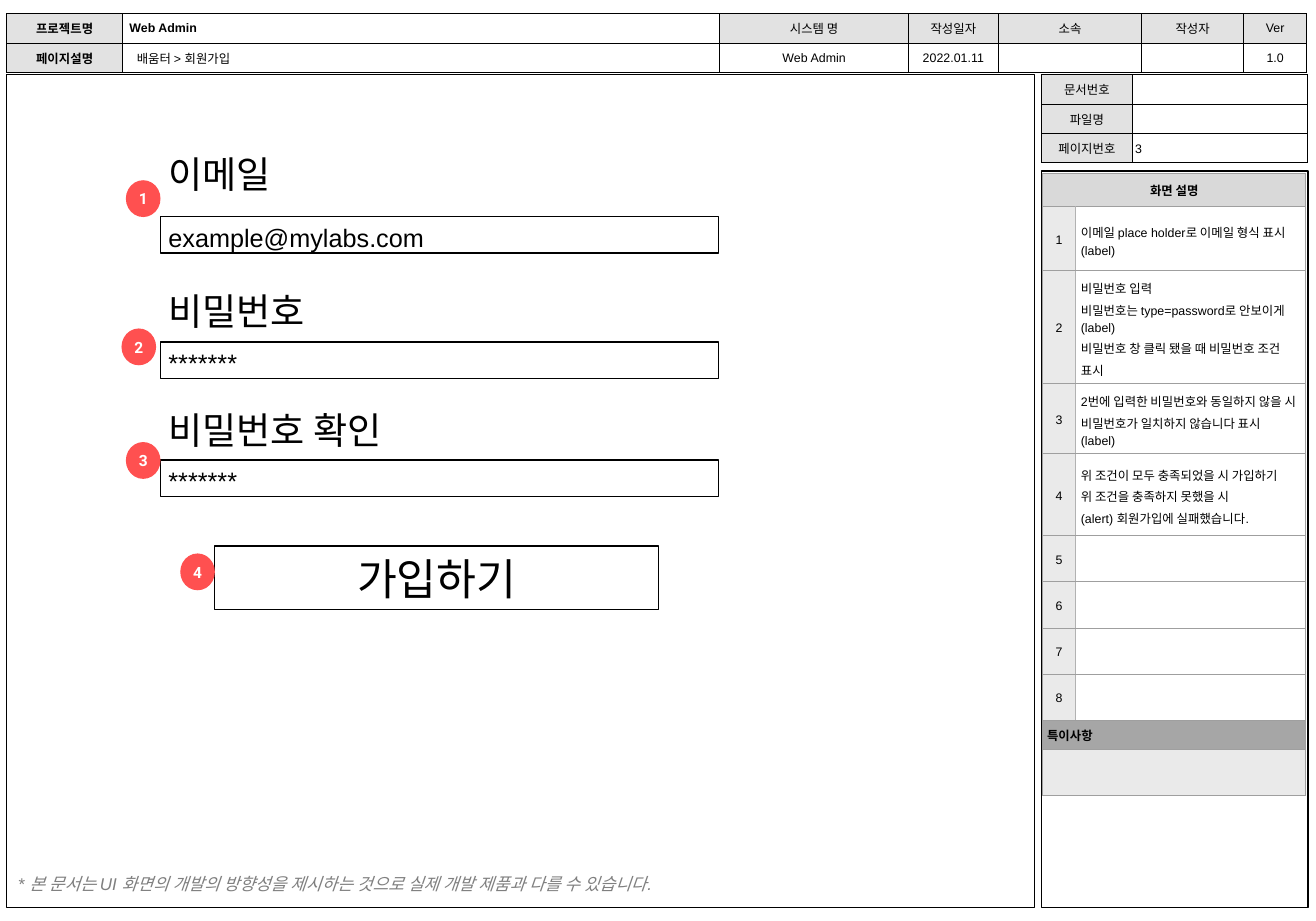
from lxml import etree
from pptx import Presentation
from pptx.dml.color import RGBColor
from pptx.enum.shapes import MSO_SHAPE
from pptx.enum.text import MSO_ANCHOR, MSO_AUTO_SIZE, PP_ALIGN
from pptx.oxml.ns import qn
from pptx.util import Cm, Pt

RECT, OVAL = MSO_SHAPE.RECTANGLE, MSO_SHAPE.OVAL
LEFT, MID = PP_ALIGN.LEFT, PP_ALIGN.CENTER
TOP, CENTER = MSO_ANCHOR.TOP, MSO_ANCHOR.MIDDLE
GROW = MSO_AUTO_SIZE.SHAPE_TO_FIT_TEXT

HEX = {"black": "000000", "white": "FFFFFF", "head": "E2E2E2",
       "title": "D9D9D9", "num": "EAEAEA", "remark": "A6A6A6",
       "rule": "9F9F9F", "split": "B2B2B2", "note": "7F7F7F",
       "badge": "FF5050"}

# Content
INFO = [["프로젝트명", "Web Admin", "시스템 명", "작성일자", "소속", "작성자", "Ver"],
        ["페이지설명", "", "Web Admin", "2022.01.11", "", "", "1.0"]]
DOC = [["문서번호", ""], ["파일명", ""], ["페이지번호", ""]]
TITLE, REMARK = "화면 설명", "특이사항"
STEPS = ["이메일 place holder로 이메일 형식 표시\n(label)",
         "비밀번호 입력\n비밀번호는 type=password로 안보이게\n(label)\n"
         "비밀번호 창 클릭 됐을 때 비밀번호 조건 표시",
         "2번에 입력한 비밀번호와 동일하지 않을 시 비밀번호가 일치하지 않습니다 표시\n(label)",
         "위 조건이 모두 충족되었을 시 가입하기\n위 조건을 충족하지 못했을 시\n"
         "(alert) 회원가입에 실패했습니다.",
         "", "", "", ""]
CRUMB = "배움터 > 회원가입"
NOTE = "* 본 문서는 UI 화면의 개발의 방향성을 제시하는 것으로 실제 개발 제품과 다를 수 있습니다."
# label, its top and width, value, top of the input box
FIELDS = [("이메일", 3.33, 3.78, "example@mylabs.com", 4.93),
          ("비밀번호", 6.45, 3.78, "*******", 7.8),
          ("비밀번호 확인", 9.17, 6.3, "*******", 10.49)]
SUBMIT = "가입하기"
BADGES = [(2.87, 4.11), (2.77, 7.49), (2.87, 10.08), (4.11, 12.62)]

# Column widths and row heights
INFO_W = [2.65, 13.61, 4.3, 2.05, 3.27, 2.32, 1.44]
DOC_W = [2.06, 3.99]
STEP_W = [0.75, 5.25]
STEP_H = [0.75, 1.46, 2.58, 1.58, 1.89] + [1.05] * 4 + [0.66, 1.05]
ROW = 0.67


def color(name):
    return RGBColor.from_string(HEX[name])


def write(frame, text, size=8, ink="black", align=LEFT, bold=False,
          italic=False, face="Arial", space=None):
    frame.text = text
    for para in frame.paragraphs:
        para.alignment = align
        para.line_spacing = space
        font = para.font
        font.name, font.size = face, Pt(size)
        font.bold, font.italic = bold, italic
        font.color.rgb = color(ink)


def inset(frame, pads):
    (frame.margin_left, frame.margin_top,
     frame.margin_right, frame.margin_bottom) = [Cm(p) for p in pads]


def shape(kind, box, fill=None, line=None):
    item = slide.shapes.add_shape(kind, *[Cm(v) for v in box])
    item.shadow.inherit = False
    if fill:
        item.fill.solid()
        item.fill.fore_color.rgb = color(fill)
    else:
        item.fill.background()
    if line:
        item.line.color.rgb = color(line)
        item.line.width = Pt(0.75)
    else:
        item.line.fill.background()
    return item


def entry(box, text, size, line, align=LEFT, pads=(0.18, 0.13, 0.18, 0)):
    frame = shape(RECT, box, line=line).text_frame
    inset(frame, pads)
    frame.word_wrap = True
    frame.vertical_anchor = TOP
    write(frame, text, size, align=align)
    frame.auto_size = GROW


def label(box, text, pads=(0.25, 0.13, 0.25, 0.13), **style):
    frame = slide.shapes.add_textbox(*[Cm(v) for v in box]).text_frame
    frame.word_wrap = True
    inset(frame, pads)
    write(frame, text, **style)


def grid(x, y, cols, rows):
    table = slide.shapes.add_table(len(rows), len(cols), Cm(x), Cm(y),
                                   Cm(sum(cols)), Cm(sum(rows))).table
    table.first_row = table.horz_banding = False
    for col, wide in zip(table.columns, cols):
        col.width = Cm(wide)
    for row, high in zip(table.rows, rows):
        row.height = Cm(high)
    return table


def fill_cell(cell, text, fill, pads, edges, **style):
    cell.fill.solid()
    cell.fill.fore_color.rgb = color(fill)
    cell.vertical_anchor = CENTER
    inset(cell, pads)
    write(cell.text_frame, text, **style)
    props = cell._tc.get_or_add_tcPr()
    for i, (side, edge) in enumerate(zip("LRTB", edges)):
        line = etree.Element(qn("a:ln" + side), w=str(Pt(0.75)))
        solid = etree.SubElement(line, qn("a:solidFill"))
        etree.SubElement(solid, qn("a:srgbClr"), val=HEX[edge])
        props.insert(i, line)


def header(x, y, cols, data, shaded):
    table = grid(x, y, cols, [ROW] * len(data))
    for r, row in enumerate(data):
        for c, text in enumerate(row):
            fill = "head" if shaded(r, c) else "white"
            name = data is INFO and (c == 0 or (r, c) == (0, 1))
            fill_cell(table.cell(r, c), text, fill, (0.15, 0.13, 0.15, 0.13),
                      ["black"] * 4, bold=name, align=LEFT if c == 1 else MID)


deck = Presentation()
deck.slide_width, deck.slide_height = Cm(30), Cm(21)
slide = deck.slides.add_slide(deck.slide_layouts[6])

# Header tables and frames
header(23.75, 1.7, DOC_W, DOC, lambda r, c: c == 0)
header(0.15, 0.31, INFO_W, INFO, lambda r, c: c == 0 or (r == 0 and c != 1))
label((25.63, 3.1, 1.32, 0.61), "3")
shape(RECT, (0.15, 1.7, 23.44, 19), line="black")
shape(RECT, (23.75, 3.9, 6.07, 16.8), "white", "black")

# Description table
table = grid(23.77, 3.96, STEP_W, STEP_H)
pads, last = [0.1] * 4, len(STEP_H) - 1
for r, text, fill, align in ((0, TITLE, "title", MID),
                             (last - 1, REMARK, "remark", LEFT),
                             (last, "", "num", LEFT)):
    table.cell(r, 0).merge(table.cell(r, 1))
    fill_cell(table.cell(r, 0), text, fill, pads, ["rule"] * 4,
              align=align, bold=True)
for r, text in enumerate(STEPS, 1):
    fill_cell(table.cell(r, 0), str(r), "num", pads,
              ["rule", "split", "rule", "rule"], align=MID, space=1.2)
    fill_cell(table.cell(r, 1), text, "white", (0.12, 0.1, 0.2, 0.1),
              ["split", "rule", "rule", "rule"], space=1.2)

# Breadcrumb and footnote
label((2.87, 1.04, 9.14, 0.51), CRUMB)
label((0.41, 19.91, 16.28, 0.48), NOTE, [0] * 4, size=11, ink="note", italic=True)

# Sign-up form
for name, top, wide, value, low in FIELDS:
    entry((3.66, top, wide, 1.85), name, 24, "white")
    entry((3.66, low, 12.73, 0.84), value, 16.3, "black")
entry((4.9, 12.45, 10.11, 1.45), SUBMIT, 28, "black", MID, (0.25, 0.13, 0.25, 0.13))

# Numbered badges
for n, (x, y) in enumerate(BADGES, 1):
    frame = shape(OVAL, (x, y, 0.79, 0.84), "badge").text_frame
    inset(frame, [0] * 4)
    frame.vertical_anchor = CENTER
    write(frame, str(n), 10, "white", MID, bold=True, face="Roboto")

deck.save("out.pptx")
